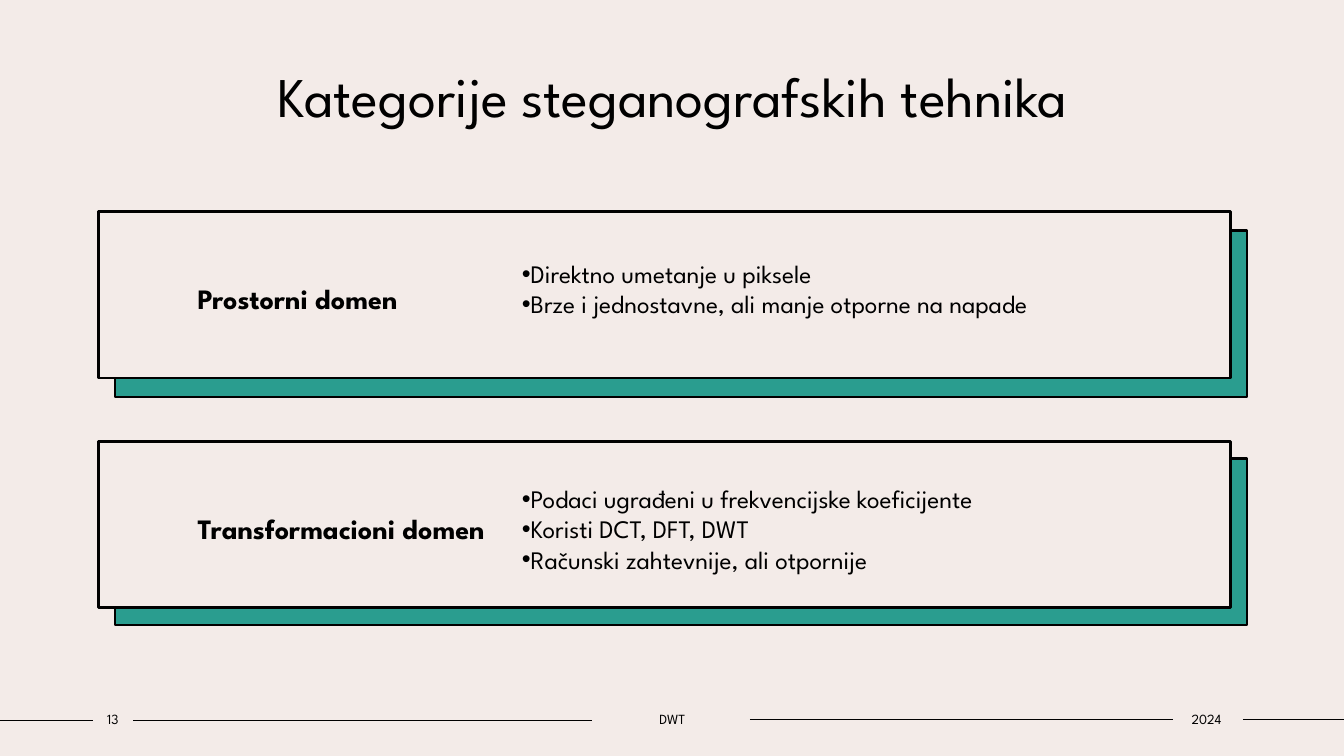
"""Build the slide on categories of steganographic techniques."""
from dataclasses import dataclass

from lxml import etree
from pptx import Presentation
from pptx.dml.color import RGBColor
from pptx.enum.shapes import MSO_CONNECTOR, MSO_SHAPE
from pptx.enum.text import MSO_ANCHOR, PP_ALIGN
from pptx.oxml.ns import qn
from pptx.util import Inches, Pt

STRAIGHT = MSO_CONNECTOR.STRAIGHT
RECTANGLE = MSO_SHAPE.RECTANGLE
TOP, MIDDLE = MSO_ANCHOR.TOP, MSO_ANCHOR.MIDDLE
LEFT, CENTER = PP_ALIGN.LEFT, PP_ALIGN.CENTER

WIDTH, HEIGHT = Inches(13.333), Inches(7.5)
FONT = "League Spartan"
INK, PAPER, TEAL = "000000", "F3EBE8", "2A9D8F"
PANEL_LEFT, PANEL_WIDTH, PANEL_HEIGHT = 7.35, 84.23, 22
SHADOW_LEFT = 8.55
BULLET_LEFT, BULLET_WIDTH, BULLET_ROW = 38.1, 48.15, 4
BULLET_PADDING = 1.47


@dataclass(frozen=True)
class Area:
    left: float
    top: float
    width: float
    height: float


@dataclass(frozen=True)
class Panel:
    heading: str
    top: float
    shadow_top: float
    bullet_top: float
    bullets: tuple[str, ...]


@dataclass(frozen=True)
class Rule:
    start: float
    end: float
    row: float


@dataclass(frozen=True)
class FooterItem:
    text: str
    left: float
    width: float


PANELS = (
    Panel("Prostorni domen", 28, 30.53, 33.47,
          ("Direktno umetanje u piksele",
           "Brze i jednostavne, ali manje otporne na napade")),
    Panel("Transformacioni domen", 58.4, 60.67, 63.2,
          ("Podaci ugrađeni u frekvencijske koeficijente",
           "Koristi DCT, DFT, DWT",
           "Računski zahtevnije, ali otpornije")),
)
RULES = (
    Rule(0, 6.9, 95.33),
    Rule(9.9, 44.03, 95.33),
    Rule(55.8, 87.3, 95.2),
    Rule(92.48, 100, 95.2),
)
FOOTER = (
    FooterItem("13", 6.9, 3),
    FooterItem("DWT", 44.03, 12),
    FooterItem("2024", 87.15, 5.25),
)


def across(percent: float) -> int:
    return round(WIDTH * percent / 100)


def down(percent: float) -> int:
    return round(HEIGHT * percent / 100)


def color(value: str) -> RGBColor:
    return RGBColor.from_string(value)


def place(area: Area) -> tuple[int, int, int, int]:
    return across(area.left), down(area.top), across(area.width), down(area.height)


def add_span(para, text: str, size: float, bold: bool = False) -> None:
    span = para.add_run()
    span.text = text
    span.font.name = FONT
    span.font.size = Pt(size)
    span.font.bold = bold
    span.font.color.rgb = color(INK)


def add_bullet(para) -> None:
    properties = para._p.get_or_add_pPr()
    properties.set("marL", "0")
    properties.set("indent", "0")
    etree.SubElement(properties, qn("a:buFont")).set("typeface", "Arial")
    etree.SubElement(properties, qn("a:buChar")).set("char", "•")


def add_text(page, area: Area, lines: tuple[str, ...], size: float, align=LEFT,
             anchor=MIDDLE, side_inset: float = 0.1, bulleted: bool = False) -> None:
    frame = page.shapes.add_textbox(*place(area)).text_frame
    frame.word_wrap = True
    frame.vertical_anchor = anchor
    frame.margin_left = frame.margin_right = Inches(side_inset)
    for index, line in enumerate(lines):
        para = frame.add_paragraph() if index else frame.paragraphs[0]
        para.alignment = align
        if bulleted:
            add_bullet(para)
        add_span(para, line, size)


def add_box(page, area: Area, fill: str):
    box = page.shapes.add_shape(RECTANGLE, *place(area))
    box.shadow.inherit = False
    box.fill.solid()
    box.fill.fore_color.rgb = color(fill)
    box.line.color.rgb = color(INK)
    box.line.width = Pt(2)
    return box


def add_panel(page, panel: Panel) -> None:
    add_box(page, Area(SHADOW_LEFT, panel.shadow_top, PANEL_WIDTH, PANEL_HEIGHT), TEAL)
    box = add_box(page, Area(PANEL_LEFT, panel.top, PANEL_WIDTH, PANEL_HEIGHT), PAPER)
    frame = box.text_frame
    frame.word_wrap = True
    frame.vertical_anchor = MIDDLE
    frame.margin_left, frame.margin_right = across(7.35), across(53.25)
    para = frame.paragraphs[0]
    para.alignment = LEFT
    para.line_spacing = 1.2
    add_span(para, panel.heading, 20, bold=True)
    height = BULLET_ROW * len(panel.bullets) + BULLET_PADDING
    add_text(page, Area(BULLET_LEFT, panel.bullet_top, BULLET_WIDTH, height),
             panel.bullets, 18, bulleted=True)


def add_rule(page, rule: Rule) -> None:
    row = down(rule.row)
    line = page.shapes.add_connector(STRAIGHT, across(rule.start), row,
                                     across(rule.end), row)
    line.line.color.rgb = color(INK)
    line.line.width = Pt(1)
    etree.SubElement(line._element.spPr, qn("a:effectLst"))


def main() -> None:
    deck = Presentation()
    deck.slide_width, deck.slide_height = WIDTH, HEIGHT
    page = deck.slides.add_slide(deck.slide_layouts[6])
    page.background.fill.solid()
    page.background.fill.fore_color.rgb = color(PAPER)
    for rule in RULES:
        add_rule(page, rule)
    add_text(page, Area(9.38, 7.47, 81.3, 14.8),
             ("Kategorije steganografskih tehnika",), 40, CENTER, TOP)
    for panel in PANELS:
        add_panel(page, panel)
    for item in FOOTER:
        add_text(page, Area(item.left, 93.33, item.width, 3.6), (item.text,), 10,
                 CENTER, side_inset=0)
    deck.save("out.pptx")


if __name__ == "__main__":
    main()
